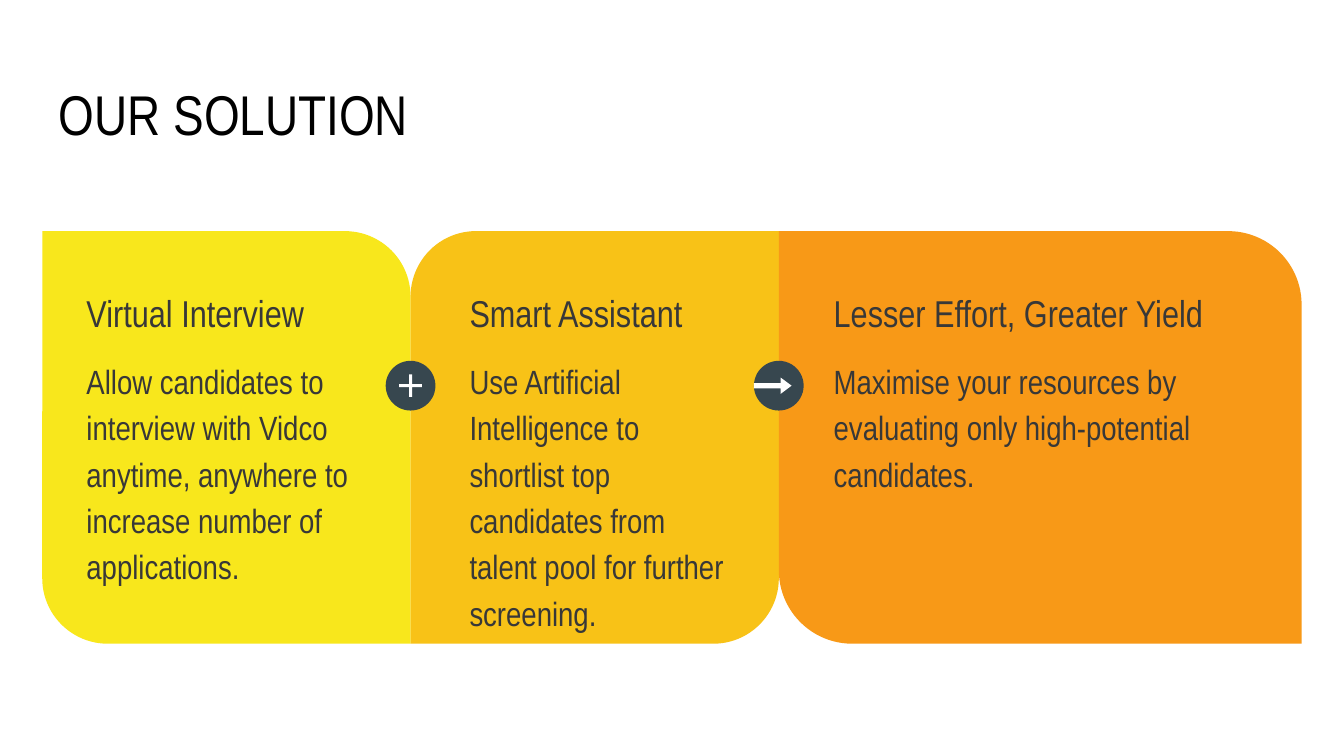
import pptx
import pptx.util
import pptx.dml.color
import pptx.enum.shapes

SHAPES = pptx.enum.shapes.MSO_SHAPE
INCH = pptx.util.Inches
FONT = "Arial Narrow"
INK = "383838"
BADGE = "37474F"
WHITE = "FFFFFF"

TITLE = "OUR SOLUTION"
PANELS = [
    {"heading": "Virtual Interview",
     "body": "Allow candidates to interview with Vidco anytime, anywhere to "
             "increase number of applications.",
     "fill": "F8E71C", "width": 2.74, "inset": 0.23, "text_width": 2.21,
     "corners": (0, 0.178)},
    {"heading": "Smart Assistant",
     "body": "Use Artificial Intelligence to shortlist top candidates from "
             "talent pool for further screening.",
     "fill": "F8C217", "width": 2.74, "inset": 0.34, "text_width": 2.21,
     "corners": (0.178, 0)},
    {"heading": "Lesser Effort, Greater Yield",
     "body": "Maximise your resources by evaluating only high-potential "
             "candidates.",
     "fill": "F89917", "width": 3.89, "inset": 0.31, "text_width": 3.4,
     "corners": (0, 0.178)},
]
SYMBOLS = [
    {"kind": SHAPES.MATH_PLUS, "size": (0.23, 0.23), "shift": 0.07,
     "adjust": (0.099,)},
    {"kind": SHAPES.RIGHT_ARROW, "size": (0.28, 0.12), "shift": 0,
     "adjust": (0.32, 0.67)},
]

SLIDE_WIDTH = 10
SLIDE_HEIGHT = SLIDE_WIDTH * 9 / 16
LEFT = (SLIDE_WIDTH - sum(panel["width"] for panel in PANELS)) / 2
TOP, HEIGHT = 1.72, 3.07
HEADING_TOP, BODY_TOP = TOP + 0.34, TOP + 0.82
BADGE_SIZE, BADGE_MIDDLE = 0.37, 2.87


def color(value):
    return pptx.dml.color.RGBColor.from_string(value)


def add_text(page, text, left, top, width, height, size, ink=INK,
             line_spacing=None, space_after=None):
    box = page.shapes.add_textbox(INCH(left), INCH(top), INCH(width), INCH(height))
    frame = box.text_frame
    frame.word_wrap = True
    frame.margin_left = frame.margin_right = INCH(0.1)
    frame.margin_top = frame.margin_bottom = INCH(0.1)
    para = frame.paragraphs[0]
    para.line_spacing = line_spacing
    if space_after is not None:
        para.space_after = pptx.util.Pt(space_after)
    span = para.add_run()
    span.text = text
    span.font.name = FONT
    span.font.size = pptx.util.Pt(size)
    span.font.color.rgb = color(ink)


def add_figure(page, kind, left, top, width, height, fill, adjust=()):
    shape = page.shapes.add_shape(
        kind, INCH(left), INCH(top), INCH(width), INCH(height))
    shape.shadow.inherit = False
    shape.fill.solid()
    shape.fill.fore_color.rgb = color(fill)
    shape.line.fill.background()
    for index, value in enumerate(adjust):
        shape.adjustments[index] = value


def main():
    deck = pptx.Presentation()
    deck.slide_width, deck.slide_height = INCH(SLIDE_WIDTH), INCH(SLIDE_HEIGHT)
    page = deck.slides.add_slide(deck.slide_layouts[6])

    add_text(page, TITLE, 0.34, 0.49, 9.32, 0.63, size=30, ink="000000")

    left = LEFT
    seams = []
    for panel in PANELS:
        add_figure(page, SHAPES.ROUND_2_DIAG_RECTANGLE, left, TOP,
                   panel["width"], HEIGHT, panel["fill"], panel["corners"])
        text_left = left + panel["inset"]
        add_text(page, panel["heading"], text_left, HEADING_TOP,
                 panel["text_width"], 0.65, size=20)
        add_text(page, panel["body"], text_left, BODY_TOP,
                 panel["text_width"], 1.83, size=18,
                 line_spacing=1.15, space_after=16)
        left += panel["width"]
        seams.append(left)

    for seam, symbol in zip(seams, SYMBOLS):
        badge_left = seam - BADGE_SIZE / 2
        width, height = symbol["size"]
        add_figure(page, SHAPES.OVAL, badge_left, BADGE_MIDDLE - BADGE_SIZE / 2,
                   BADGE_SIZE, BADGE_SIZE, BADGE)
        add_figure(page, symbol["kind"], badge_left + symbol["shift"],
                   BADGE_MIDDLE - height / 2, width, height, WHITE,
                   symbol["adjust"])

    deck.save("out.pptx")


if __name__ == "__main__":
    main()
